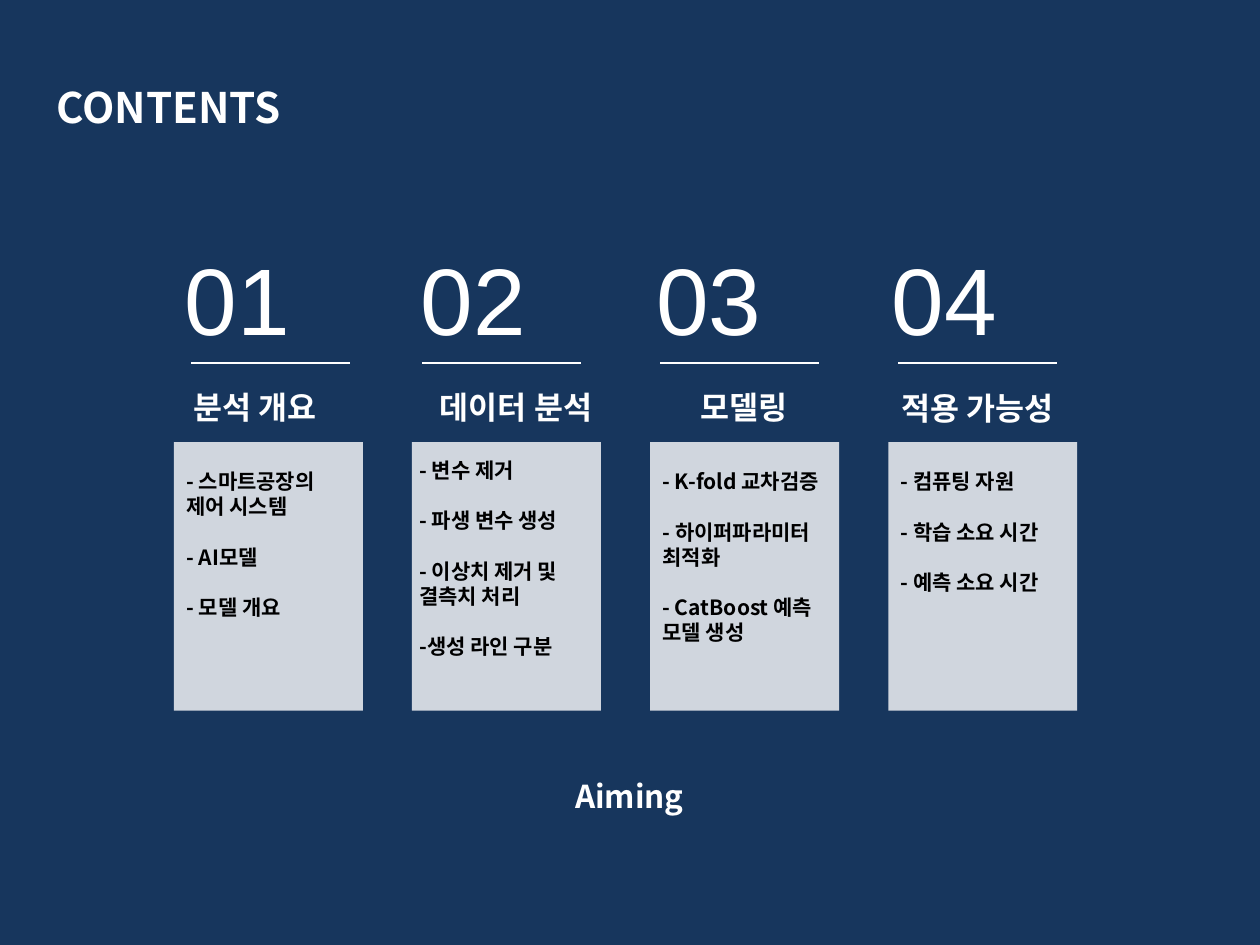
from dataclasses import dataclass

from lxml.etree import SubElement
from pptx import Presentation
from pptx.dml.color import RGBColor
from pptx.enum.shapes import MSO_CONNECTOR as Link, MSO_SHAPE as Shape
from pptx.enum.text import PP_ALIGN as Align
from pptx.oxml.ns import qn
from pptx.util import Inches, Pt

NOTO = "Noto Sans CJK KR"
WHITE, BLACK, NAVY = "FFFFFF", "000000", "17365D"
LEFT, STEP, WIDE = 1.38, 1.89, 1.5


@dataclass
class Box:
    """Place and size in inches."""
    x: float
    y: float
    w: float
    h: float

    def emu(self) -> list:
        """Give the four lengths."""
        return [Inches(n) for n in (self.x, self.y, self.w, self.h)]


@dataclass
class Part:
    """One column of the contents."""
    title: str
    head: Box
    align: Align
    items: list[str]
    body: Box
    rule: float


PARTS = [
    Part("분석 개요", Box(1.44, 3.03, 1.43, 0.4), Align.LEFT,
         ["- 스마트공장의 제어 시스템", "- AI모델", "- 모델 개요"],
         Box(1.38, 3.67, 1.5, 1.31), 1.52),
    Part("데이터 분석", Box(3.19, 3.03, 1.81, 0.4), Align.CENTER,
         ["- 변수 제거", "- 파생 변수 생성", "- 이상치 제거 및 결측치 처리", "-생성 라인 구분"],
         Box(3.23, 3.58, 1.73, 1.92), 3.35),
    Part("모델링", Box(5, 3.03, 1.81, 0.4), Align.CENTER,
         ["- K-fold 교차검증", "- 하이퍼파라미터 최적화", "- CatBoost 예측 모델 생성"],
         Box(5.16, 3.67, 1.5, 1.52), 5.24),
    Part("적용 가능성", Box(6.73, 3.04, 2.05, 0.4), Align.CENTER,
         ["- 컴퓨팅 자원", "- 학습 소요 시간", "- 예측 소요 시간"],
         Box(7.05, 3.67, 1.5, 1.31), 7.13),
]


def paint(fill, tone: str) -> None:
    """Fill with a solid hex colour."""
    fill.solid()
    fill.fore_color.rgb = RGBColor.from_string(tone)


def write(slide, box: Box, *lines: str, size=18, font=NOTO, tone=WHITE,
          bold=True, align=Align.LEFT, gap=0.0) -> None:
    """Add a wrapped text box, one paragraph for each line."""
    frame = slide.shapes.add_textbox(*box.emu()).text_frame
    frame.word_wrap = True
    for i, line in enumerate(lines):
        para = frame.add_paragraph() if i else frame.paragraphs[0]
        para.alignment = align
        para.space_before = Pt(gap if i else 0)
        run = para.add_run()
        run.text = line
        run.font.size, run.font.bold, run.font.name = Pt(size), bold, font
        paint(run.font.fill, tone)
        SubElement(run.font._element, qn("a:ea")).set("typeface", font)


def panel(slide, box: Box) -> None:
    """Add a borderless white panel at 80% opacity."""
    rect = slide.shapes.add_shape(Shape.RECTANGLE, *box.emu())
    rect.shadow.inherit = False
    paint(rect.fill, WHITE)
    rect.line.fill.background()
    tone = rect._element.spPr.find(".//" + qn("a:srgbClr"))
    SubElement(tone, qn("a:alpha")).set("val", "80000")


def rule(slide, x: float, y: float, w: float) -> None:
    """Add a thin white level line."""
    line = slide.shapes.add_connector(
        Link.STRAIGHT, Inches(x), Inches(y), Inches(x + w), Inches(y))
    paint(line.line.fill, WHITE)
    line.line.width = Pt(0.75)
    SubElement(line._element.spPr, qn("a:effectLst"))


def column(slide, i: int, part: Part) -> None:
    """Draw number, rule, heading, panel and items of a column."""
    panel(slide, Box(LEFT + i * STEP, 3.51, WIDE, 2.13))
    write(slide, Box(1.37 + i * 1.87, 1.86, WIDE, 1.01), f"{i + 1:02}",
          size=54, font="Arial", bold=False)
    rule(slide, part.rule, 2.88, 1.26)
    write(slide, part.head, part.title, align=part.align)
    write(slide, part.body, *part.items, size=12, tone=BLACK, gap=14.4)


def main() -> None:
    """Build and save the slide."""
    deck = Presentation()
    deck.slide_width, deck.slide_height = Inches(10), Inches(7.5)
    slide = deck.slides.add_slide(deck.slide_layouts[6])
    paint(slide.background.fill, NAVY)
    write(slide, Box(0.35, 0.6, 4.57, 0.5), "CONTENTS", size=24)
    for i, part in enumerate(PARTS):
        column(slide, i, part)
    write(slide, Box(3.5, 6.12, 2.99, 0.67), "Aiming", align=Align.CENTER)
    deck.save("out.pptx")


if __name__ == "__main__":
    main()
